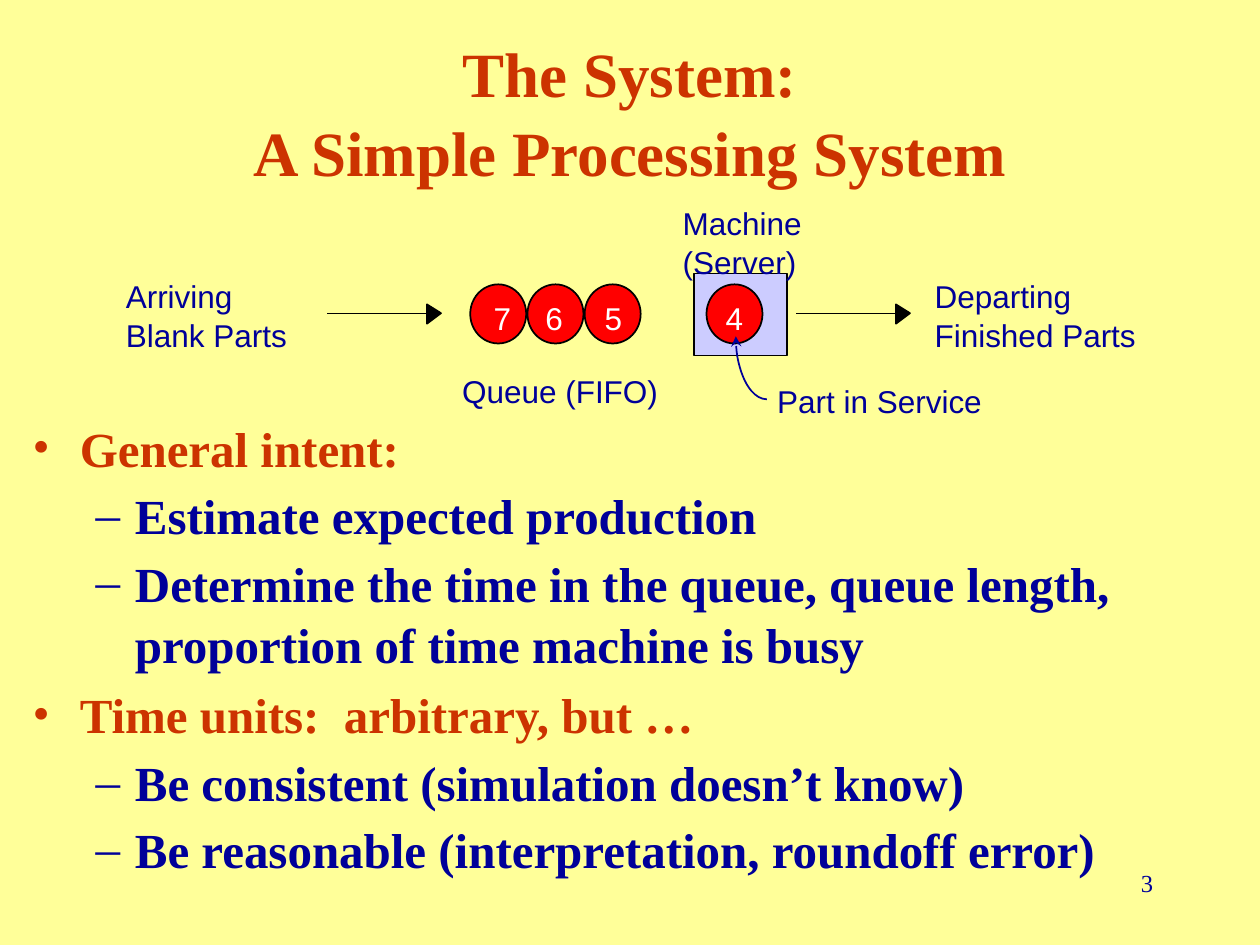
from pptx import Presentation
from pptx.dml.color import RGBColor
from pptx.enum.shapes import MSO_CONNECTOR as LINK, MSO_SHAPE as FORM
from pptx.enum.text import MSO_ANCHOR as ANCHOR, PP_ALIGN as ALIGN
from pptx.oxml.ns import qn
from pptx.util import Pt
from lxml.etree import SubElement as Sub

BLACK = RGBColor(0, 0, 0)
WHITE = RGBColor(255, 255, 255)
CREAM = RGBColor(0xFF, 0xFF, 0x99)
RUST = RGBColor(0xCC, 0x33, 0x00)
NAVY = RGBColor(0x00, 0x00, 0x99)
RED = RGBColor(0xFF, 0, 0)
LILAC = RGBColor(0xCC, 0xCC, 0xFF)
SERIF = "Times New Roman"

deck = Presentation()
deck.slide_width, deck.slide_height = Pt(720), Pt(540)
slide = deck.slides.add_slide(deck.slide_layouts[6])
slide.background.fill.solid()
slide.background.fill.fore_color.rgb = CREAM
shapes = slide.shapes


def write(box, text, size=18, ink=NAVY, face="Arial", bold=False, wrap=True):
    frame = shapes.add_textbox(*map(Pt, box)).text_frame
    frame.word_wrap = wrap
    frame.text = text
    for para in frame.paragraphs:
        para.line_spacing = 1.04
        for run in para.runs:
            font = run.font
            font.name, font.size, font.bold = face, Pt(size), bold
            font.color.rgb = ink
    return frame


def draw(form, box, fill):
    shape = shapes.add_shape(form, *map(Pt, box))
    shape.shadow.inherit = False
    shape.fill.solid()
    shape.fill.fore_color.rgb = fill
    shape.line.color.rgb = BLACK
    shape.line.width = Pt(1)


title = write((54, 18, 612, 90), "The System:\vA Simple Processing System",
              36, RUST, SERIF, True)
title.vertical_anchor = ANCHOR.MIDDLE
title.paragraphs[0].alignment = ALIGN.CENTER

draw(FORM.RECTANGLE, (396.7, 156.3, 53, 46.8), LILAC)
for left in (403.7, 334.1, 301.4, 268.7):
    draw(FORM.OVAL, (left, 162.5, 32, 33.8), RED)

for left in (187, 455):
    line = shapes.add_connector(LINK.STRAIGHT, Pt(left), Pt(179.2), Pt(left + 59), Pt(179.2))
    line.line.color.rgb = BLACK
    line.line.width = Pt(1)
    Sub(line._element.spPr, qn("a:effectLst"))
    tip = left + 57
    path = shapes.build_freeform(tip, 173.5, scale=Pt(1))
    path.add_line_segments([(tip, 185), (tip + 8, 179.2)])
    head = path.convert_to_shape()
    head.shadow.inherit = False
    head.fill.solid()
    head.fill.fore_color.rgb = BLACK
    head.line.color.rgb = BLACK
    head.line.width = Pt(1)

items = [
    (0, "General intent:"),
    (1, "Estimate expected production"),
    (1, "Determine the time in the queue, queue length, proportion of time machine is busy"),
    (0, "Time units:  arbitrary, but …"),
    (1, "Be consistent (simulation doesn’t know)"),
    (1, "Be reasonable (interpretation, roundoff error)"),
]
body = write((11.5, 234, 708, 264), "\n".join(text for _, text in items),
             28, NAVY, SERIF, True)
looks = [("•", RUST, 27, -27, 3.5), ("–", NAVY, 58.5, -22.5, 1.8)]
for row, (para, (level, _)) in enumerate(zip(body.paragraphs, items)):
    mark, ink, left, hang, gap = looks[level]
    para.level = level
    para.space_before = Pt(gap if row else 0)
    para.space_after = Pt(1.8)
    para.runs[0].font.color.rgb = ink
    props = para._p.get_or_add_pPr()
    props.set("marL", str(Pt(left)))
    props.set("indent", str(Pt(hang)))
    Sub(Sub(props, qn("a:buClr")), qn("a:srgbClr"), val=str(ink))
    Sub(props, qn("a:buFont"), typeface=SERIF)
    Sub(props, qn("a:buChar"), char=mark)

labels = [
    ((64.8, 154, 106.6, 50.4), "Arriving\nBlank Parts"),
    ((527, 154, 129.6, 50.4), "Departing\nFinished Parts"),
    ((383, 112.3, 82.8, 50.4), "Machine\n(Server)"),
    ((257, 208, 126.7, 28.8), "Queue (FIFO)"),
    ((437, 213.8, 131.8, 28.8), "Part in Service"),
]
for box, text in labels:
    write(box, text, wrap=False)

arc = shapes.add_shape(FORM.ARC, Pt(420.5), Pt(156.2), Pt(35.5), Pt(72))
arc.adjustments[0], arc.adjustments[1] = 54, 108
arc.shadow.inherit = False
arc.fill.background()
arc.line.color.rgb = NAVY
arc.line.width = Pt(1)
Sub(arc.line._get_or_add_ln(), qn("a:tailEnd"), type="stealth", w="med", len="med")

for left, digit in ((407.6, "4"), (338.4, "5"), (304.6, "6"), (275, "7")):
    write((left, 166.3, 25.2, 28.8), digit, ink=WHITE)

page = write((516.2, 491.8, 149.8, 36), "3", 14, NAVY, SERIF)
page.paragraphs[0].alignment = ALIGN.RIGHT

deck.save("out.pptx")
